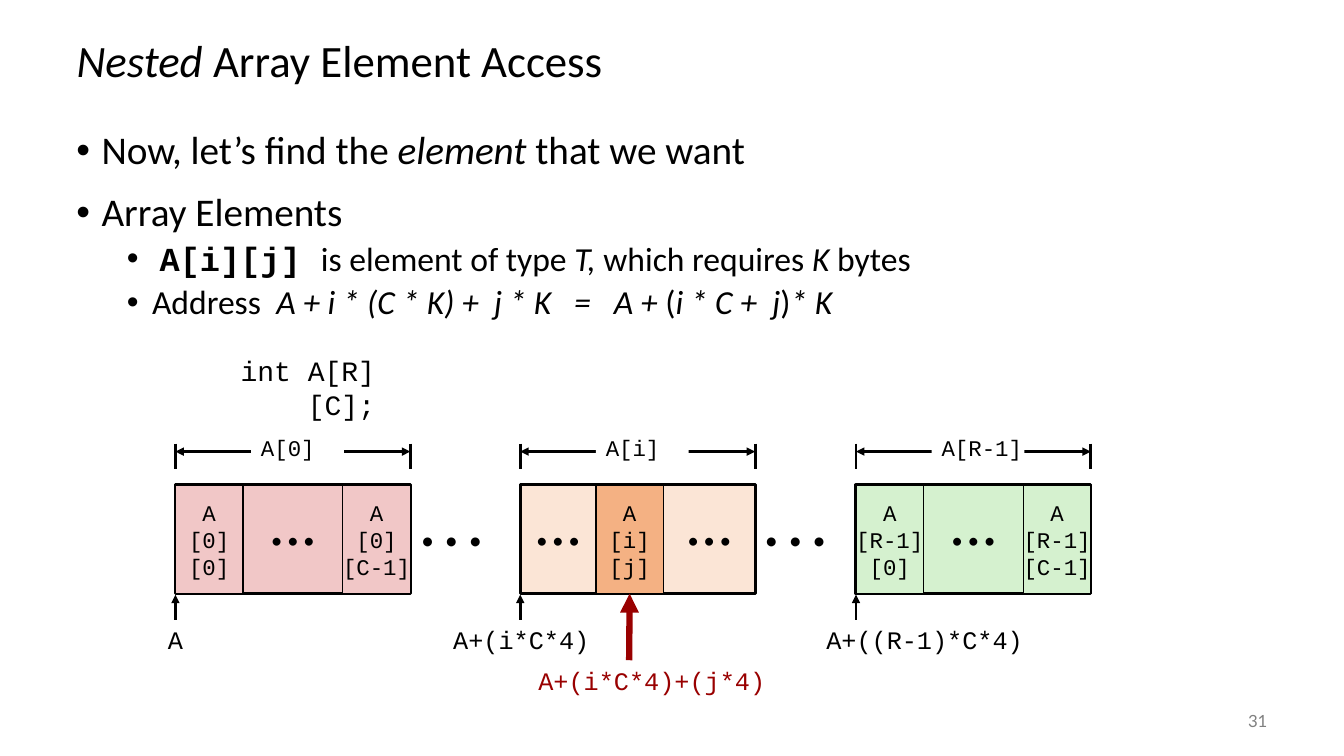
"""Build the slide on element access in nested arrays."""
from lxml.etree import SubElement
from pptx import Presentation
from pptx.dml.color import RGBColor as Rgb
from pptx.enum.shapes import MSO_CONNECTOR as Link, MSO_SHAPE as Form
from pptx.enum.text import MSO_ANCHOR as Anchor, PP_ALIGN as Align
from pptx.oxml.ns import qn
from pptx.util import Inches, Pt

HUE = {"ink": "000000", "paper": "FFFFFF", "red": "990000", "gray": "808080",
       "rose": "F1C7C7", "sand": "FBE5D6", "clay": "F4B183", "mint": "D5F1CF"}
SANS, MONO = "Calibri", "Courier New"
TOP, HIGH, WIDE, CELL = 4.81, 1.08, 2.33, 0.67


def box(host, at, text, size, face=MONO, fill=None, edge=0, hue="ink",
        align=Align.CENTER):
    """Add a rectangle or text box and write its lines."""
    spot = [Inches(n) for n in at]
    if fill:
        shape = host.add_shape(Form.RECTANGLE, *spot)
        shape.shadow.inherit = False
        shape.fill.solid()
        shape.fill.fore_color.rgb = Rgb.from_string(HUE[fill])
        if edge:
            shape.line.color.rgb = Rgb.from_string(HUE["ink"])
            shape.line.width = Pt(edge)
        else:
            shape.line.fill.background()
    else:
        shape = host.add_textbox(*spot)
    frame = shape.text_frame
    frame.word_wrap = False
    frame.vertical_anchor = Anchor.MIDDLE
    frame.text = text
    for para in frame.paragraphs:
        para.alignment = align
        para.font.name, para.font.size = face, Pt(size)
        para.font.color.rgb = Rgb.from_string(HUE[hue])
    return shape


def line(host, start, end, width=2, hue="ink", heads=()):
    """Add a straight line with arrowheads at the named ends."""
    link = host.add_connector(Link.STRAIGHT, *[Inches(n) for n in start + end])
    link.line.width = Pt(width)
    link.line.color.rgb = Rgb.from_string(HUE[hue])
    for head in heads:
        SubElement(link.line._get_or_add_ln(), qn("a:" + head), type="triangle")
    SubElement(link._element.spPr, qn("a:effectLst"))
    return link


deck = Presentation()
deck.slide_width, deck.slide_height = Inches(13.33), Inches(7.5)
slide = deck.slides.add_slide(deck.slide_layouts[5])
shapes = slide.shapes

title = shapes.title
title.left, title.top = Inches(0.66), Inches(0.25)
title.width, title.height = Inches(12), Inches(0.75)
title.text_frame.vertical_anchor = Anchor.MIDDLE
body = shapes.add_textbox(Inches(0.66), Inches(1.25), Inches(12), Inches(2.44))
body.text_frame.word_wrap = True

ital, bold = {"italic": True}, {"bold": True, "name": MONO}
points = [
    (0, 0, [("Now, let’s find the ", {}), ("element", ital), (" that we want", {})]),
    (0, 14, [("Array Elements", {})]),
    (1, 5, [(" ", {}), ("A[i][j] ", bold), ("is element of type ", {}),
            ("T, ", ital), ("which requires ", {}), ("K", ital), (" bytes", {})]),
    (1, 5, [("Address  ", {}), ("A + i * (C * K) +  j * K   =   A + ", ital),
            ("(", {}), ("i * C +  j", ital), (")", {}), ("* K", ital)]),
]
head = title.text_frame.paragraphs[0]
head.alignment = Align.LEFT
texts = [(head, 32, 0, [("Nested", ital), (" Array Element Access", {})])]
for num, (level, gap, runs) in enumerate(points):
    para = body.text_frame.add_paragraph() if num else body.text_frame.paragraphs[0]
    para.level = level
    props = para._p.get_or_add_pPr()
    props.set("marL", str(Inches(0.25 + 0.5 * level)))
    props.set("indent", str(-Inches(0.25)))
    SubElement(props, qn("a:buFont"), typeface="Arial")
    SubElement(props, qn("a:buChar"), char="•")
    texts.append((para, 28 - 4 * level, gap, runs))
for para, size, gap, runs in texts:
    para.line_spacing, para.space_before = 0.9, Pt(gap)
    for text, style in runs:
        run = para.add_run()
        run.text = text
        run.font.color.rgb = Rgb.from_string(HUE["ink"])
        for key, value in ({"name": SANS, "size": Pt(size)} | style).items():
            setattr(run.font, key, value)

box(shapes, (1.62, 3.63, 2.2, 0.43), "int A[R][C];", 20, align=Align.RIGHT)
for left in (4.08, 7.49):
    box(shapes, (left, TOP, HIGH, HIGH), "•  •  •", 18, SANS, align=Align.LEFT)

ends = WIDE - CELL
blocks = [
    (1.74, "rose", "A[0]", "A", 1.74,
     [(0, "A\n[0]\n[0]"), (ends, "A\n[0]\n[C-1]")], [(0, WIDE)]),
    (5.16, "sand", "A[i]", "A+(i*C*4)", 5.17,
     [(0.75, "A\n[i]\n[j]")], [(0, 0.75), (1.42, 0.91)]),
    (8.49, "mint", "A[R-1]", "A+((R-1)*C*4)", 9.17,
     [(0, "A\n[R-1]\n[0]"), (ends, "A\n[R-1]\n[C-1]")], [(0, WIDE)]),
]
for left, fill, name, place, mid, cells, dots in blocks:
    row = shapes.add_group_shape().shapes
    box(row, (left, TOP, WIDE, HIGH), "", 16, fill=fill, edge=2.25)
    for step, width in dots:
        box(row, (left + step, TOP, width, HIGH), "• • •", 16, SANS)
    for step, text in cells:
        tone = "clay" if fill == "sand" else fill
        cell = box(row, (left + step, TOP, CELL, HIGH), text, 16, fill=tone, edge=1)
        if tone == "clay":
            goal = cell
    for side in (left, left + WIDE):
        line(row, (side, 4.4), (side, 4.65))
    line(row, (left, 4.48), (left + WIDE, 4.48), heads=("headEnd", "tailEnd"))
    box(row, (left + 0.75, 4.23, 0.92, 0.42), name, 16, fill="paper", align=Align.LEFT)
    line(shapes, (left, 6.15), (left, 5.9), heads=("tailEnd",))
    box(shapes, (mid - 1.09, 6.14, 2.18, 0.4), place, 18)

arrow = line(shapes, (6.24, 6.55), (6.24, 5.89), 4.5, "red", ("tailEnd",))
arrow.end_connect(goal, 2)
box(shapes, (4.85, 6.55, 3.23, 0.4), "A+(i*C*4)+(j*4)", 18, hue="red")
box(shapes, (11.67, 6.95, 1, 0.4), "31", 12, "Lato", hue="gray", align=Align.RIGHT)

deck.save("out.pptx")
